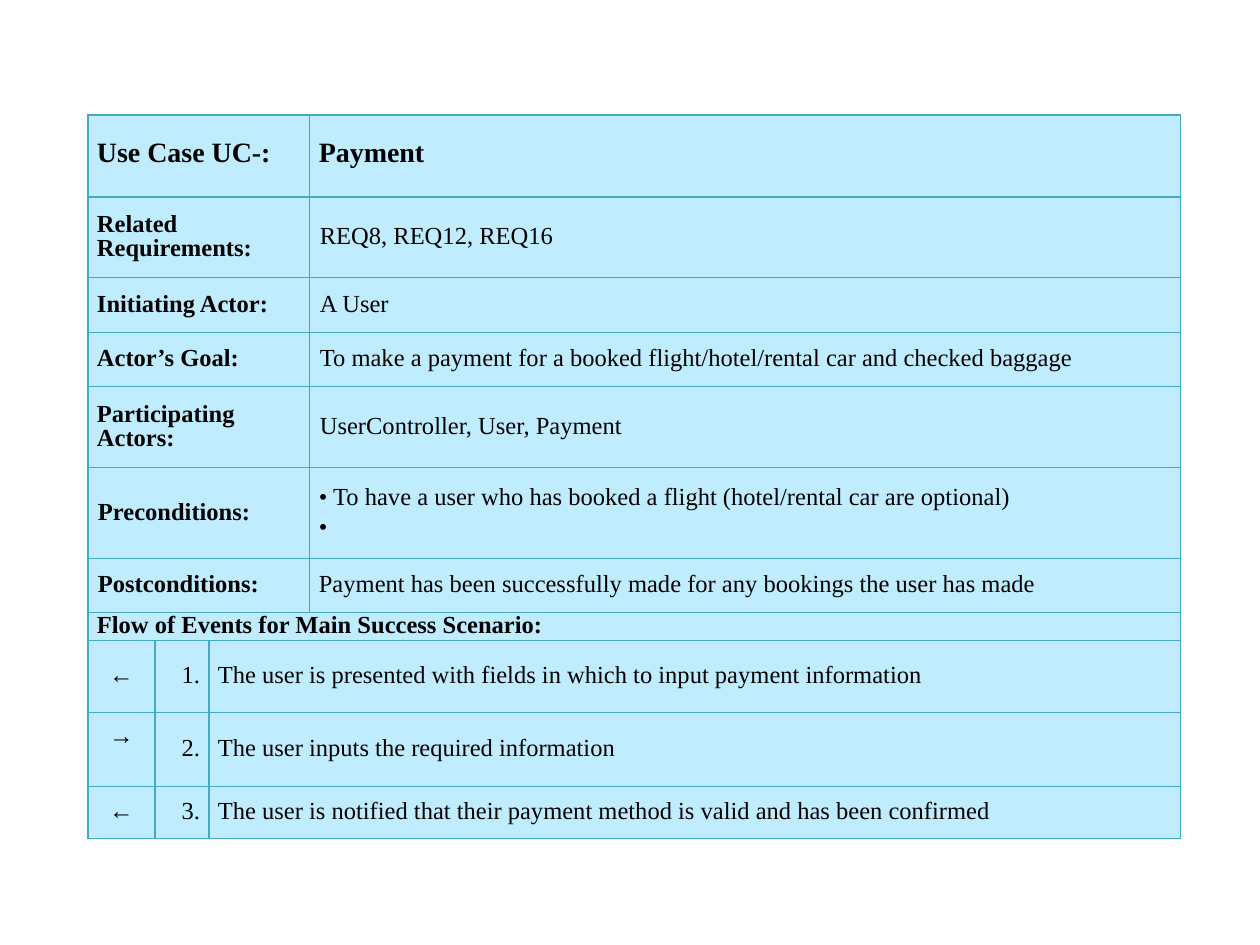
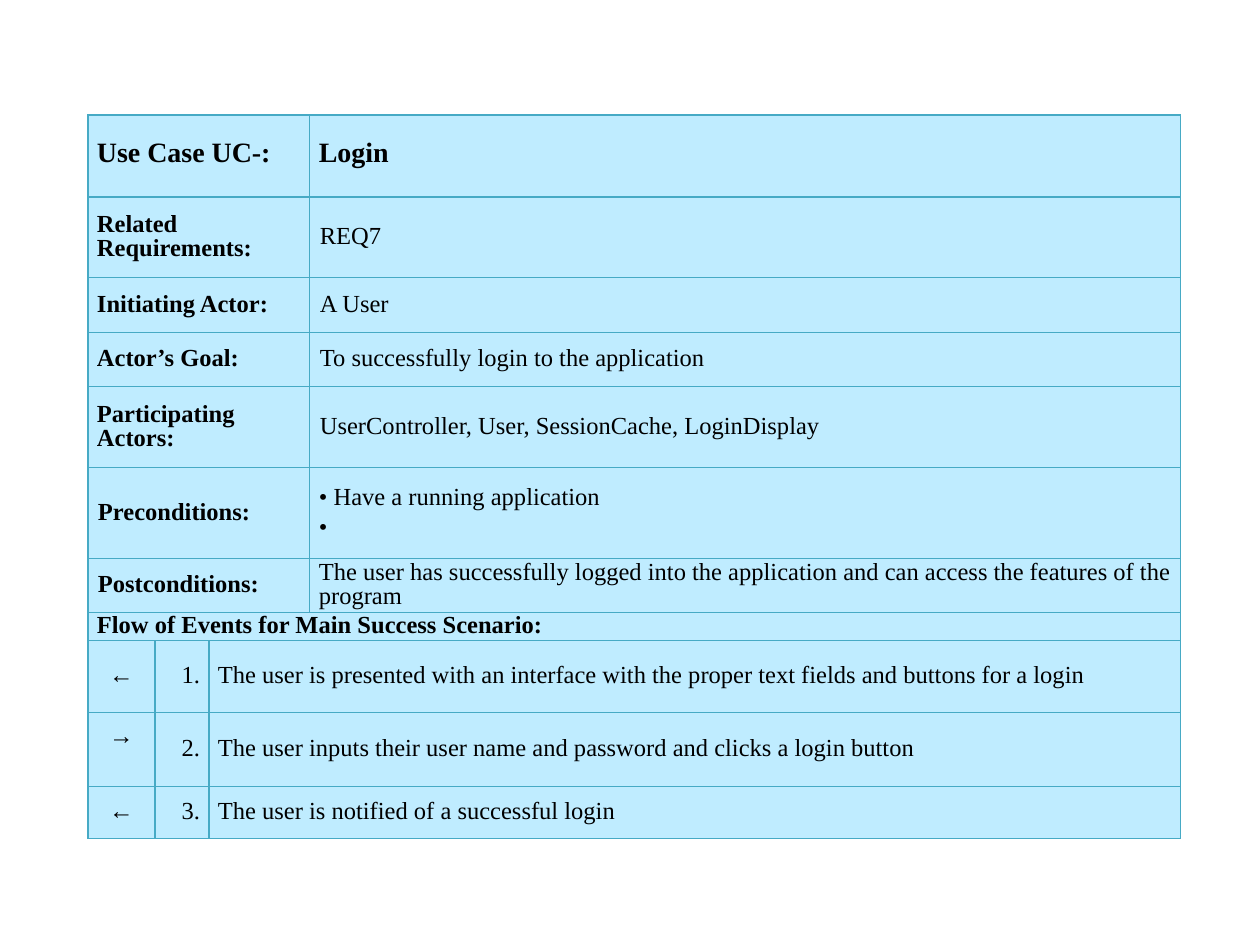
from lxml.etree import SubElement
from pptx import Presentation
from pptx.dml.color import RGBColor
from pptx.enum.text import MSO_ANCHOR, PP_ALIGN
from pptx.oxml.ns import qn
from pptx.util import Emu, Pt

PX = 914400 // 126
FONT = "Times New Roman"
TEXT, FILL, BORDER = "000000", "BFECFF", "46AAC5"
LEFT, TOP = 88, 115
COLUMN_WIDTHS = [67, 54, 101, 871]
ROW_HEIGHTS = [82, 81, 55, 54, 81, 91, 54, 28, 72, 74, 52]
LABELS = [
    "Use Case UC-:", "Related Requirements:", "Initiating Actor:", "Actor’s Goal:",
    "Participating Actors:", "Preconditions:", "Postconditions:",
]
FLOW_HEADING = "Flow of Events for Main Success Scenario:"
ARROWS = ["←", "→", "←"]
EVEN, LABEL_INSET, VALUE_INSET = (9, 9), (10, 3), (10, 5)
TITLE = {"size": 16, "bold": True, "before": 6, "align": PP_ALIGN.LEFT}

USE_CASES = [
    {
        "details": [
            "Payment",
            "REQ8, REQ12, REQ16",
            "A User",
            "To make a payment for a booked flight/hotel/rental car and checked baggage",
            "UserController, User, Payment",
            "• To have a user who has booked a flight (hotel/rental car are optional)\n•",
            "Payment has been successfully made for any bookings the user has made",
        ],
        "events": [
            "The user is presented with fields in which to input payment information",
            "The user inputs the required information",
            "The user is notified that their payment method is valid and has been confirmed",
        ],
    },
    {
        "details": [
            "Login",
            "REQ7",
            "A User",
            "To successfully login to the application",
            "UserController, User, SessionCache, LoginDisplay",
            "• Have a running application\n•",
            "The user has successfully logged into the application"
            " and can access the features of the program",
        ],
        "events": [
            "The user is presented with an interface with the proper text fields"
            " and buttons for a login",
            "The user inputs their user name and password and clicks a login button",
            "The user is notified of a successful login",
        ],
    },
]


def px(length):
    """Turn px into EMU."""
    return Emu(length * PX)


def color(value):
    """Turn a hex string into a colour."""
    return RGBColor.from_string(value)


def set_all(target, values):
    """Set several attributes of one object."""
    for name, value in values.items():
        setattr(target, name, value)


def paint_cell(cell):
    """Give a cell its borders and fill."""
    properties = cell._tc.get_or_add_tcPr()
    for side in ("lnL", "lnR", "lnT", "lnB"):
        line = SubElement(properties, qn(f"a:{side}"), w=str(Pt(0.75)))
        SubElement(SubElement(line, qn("a:solidFill")), qn("a:srgbClr"), val=BORDER)
    cell.fill.solid()
    cell.fill.fore_color.rgb = color(FILL)


def write_cell(cell, text, inset=EVEN, size=14, bold=False, before=3,
               align=PP_ALIGN.JUSTIFY, bottom=0):
    """Write text, one paragraph a line, into a cell."""
    set_all(cell, {
        "text": text,
        "vertical_anchor": MSO_ANCHOR.MIDDLE,
        "margin_left": px(inset[0]),
        "margin_right": px(inset[1]),
        "margin_top": 0,
        "margin_bottom": px(bottom),
    })
    for paragraph in cell.text_frame.paragraphs:
        set_all(paragraph, {
            "alignment": align, "line_spacing": Pt(14), "space_before": Pt(before),
        })
        for run in paragraph.runs:
            set_all(run.font, {"name": FONT, "size": Pt(size), "bold": bold})
            run.font.color.rgb = color(TEXT)


def add_grid(slide):
    """Add the empty painted table."""
    grid = slide.shapes.add_table(
        len(ROW_HEIGHTS), len(COLUMN_WIDTHS), px(LEFT), px(TOP),
        px(sum(COLUMN_WIDTHS)), px(sum(ROW_HEIGHTS)),
    ).table
    set_all(grid, {"first_row": False, "horz_banding": False})
    for column, width in zip(grid.columns, COLUMN_WIDTHS):
        column.width = px(width)
    for row, height in zip(grid.rows, ROW_HEIGHTS):
        row.height = px(height)
    for cell in grid.iter_cells():
        paint_cell(cell)
    return grid


def write_details(grid, details):
    """Write the labelled rows of a use case."""
    for row, (label, detail) in enumerate(zip(LABELS, details)):
        grid.cell(row, 0).merge(grid.cell(row, 2))
        is_condition = label.endswith("conditions:")
        label_format = {"bold": True, "inset": LABEL_INSET if is_condition else EVEN}
        detail_format = {"inset": EVEN if is_condition else VALUE_INSET}
        if row == 0:
            label_format = detail_format = TITLE
        write_cell(grid.cell(row, 0), label, **label_format)
        write_cell(grid.cell(row, 3), detail, **detail_format)


def write_flow(grid, events):
    """Write the heading and the numbered events of the flow."""
    heading_row = len(LABELS)
    grid.cell(heading_row, 0).merge(grid.cell(heading_row, 3))
    write_cell(grid.cell(heading_row, 0), FLOW_HEADING, bold=True, before=4)
    for number, (arrow, event) in enumerate(zip(ARROWS, events), 1):
        row = heading_row + number
        grid.cell(row, 2).merge(grid.cell(row, 3))
        write_cell(grid.cell(row, 0), arrow, before=0, align=PP_ALIGN.CENTER,
                   bottom=24 if arrow == "→" else 0)
        write_cell(grid.cell(row, 1), f"{number}.", before=0, align=PP_ALIGN.RIGHT)
        write_cell(grid.cell(row, 2), event, before=0)


def main():
    """Build one slide for each use case."""
    deck = Presentation()
    set_all(deck, {"slide_width": px(1260), "slide_height": px(945)})
    for use_case in USE_CASES:
        grid = add_grid(deck.slides.add_slide(deck.slide_layouts[6]))
        write_details(grid, use_case["details"])
        write_flow(grid, use_case["events"])
    deck.save("out.pptx")


if __name__ == "__main__":
    main()
